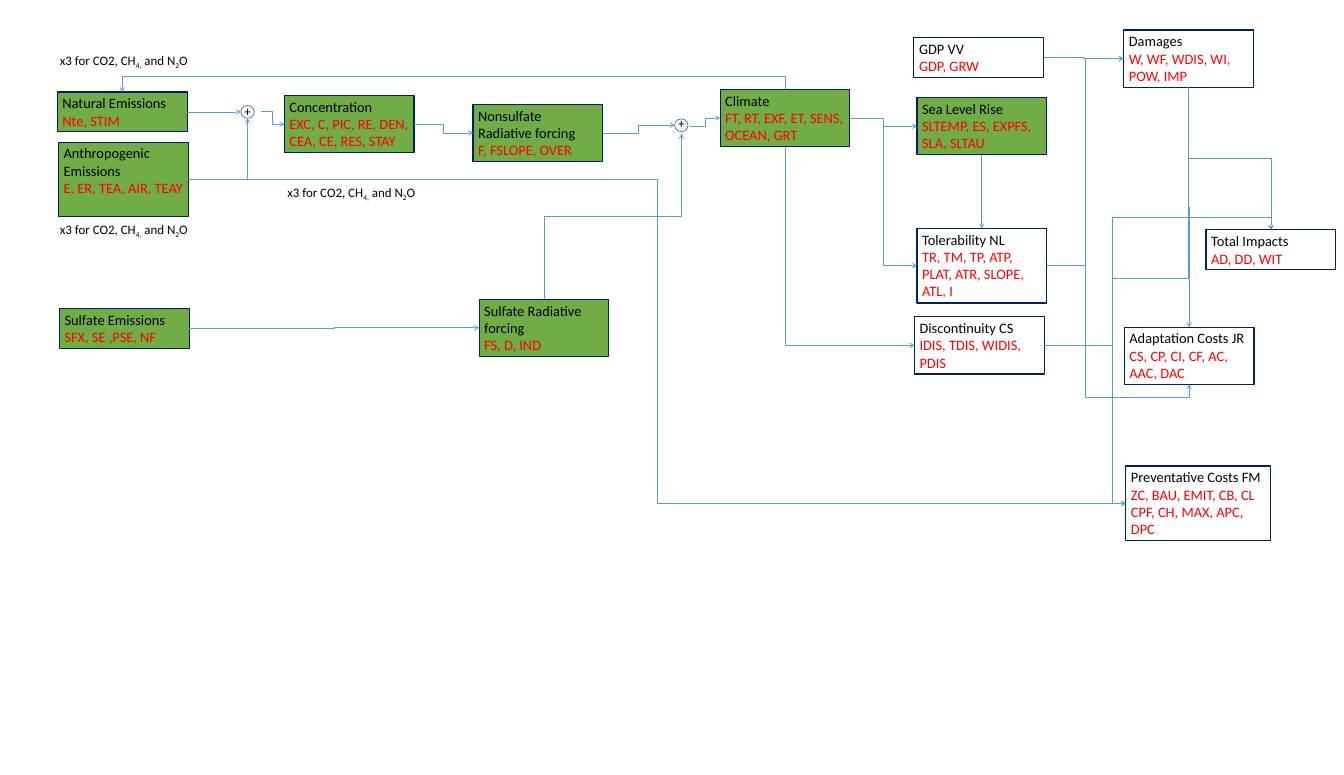
import pptx
import pptx.dml.color
import pptx.enum.shapes
import pptx.enum.text
import pptx.oxml
import pptx.oxml.ns
import pptx.util

Pt = pptx.util.Pt
qn = pptx.oxml.ns.qn
SHAPES = pptx.enum.shapes.MSO_SHAPE

COLORS = {"done": "70AD47", "border": "002060", "name": "000000",
          "variables": "FF0000", "link": "5B9BD5", "sum": "43739E"}
TOP, LEFT, BOTTOM, RIGHT = range(4)
MODULE_WIDTH = 180.7
CIRCLE_WIDTH, CIRCLE_HEIGHT = 18.7, 18

# key: (left, top, lines, finished, name, variables)
MODULES = {
    "natural": (79.9, 128.2, 2, True, "Natural Emissions", "Nte, STIM"),
    "anthropogenic": (81.4, 198, 4, True, "Anthropogenic Emissions", "E, ER, TEA, AIR, TEAY"),
    "concentration": (396, 133.2, 3, True, "Concentration",
                      "EXC, C, PIC, RE, DEN, CEA, CE, RES, STAY"),
    "sulfate": (82.8, 429.8, 2, True, "Sulfate Emissions", "SFX, SE ,PSE, NF"),
    "climate": (1003, 124.6, 3, True, "Climate", "FT, RT, EXF, ET, SENS, OCEAN, GRT"),
    "tolerability": (1277.3, 318.2, 4, False, "Tolerability NL",
                     "TR, TM, TP, ATP, PLAT, ATR, SLOPE, ATL, I"),
    "discontinuity": (1273.7, 441.4, 3, False, "Discontinuity CS", "IDIS, TDIS, WIDIS, PDIS"),
    "adaptation": (1566, 455.8, 3, False, "Adaptation Costs JR", "CS, CP, CI, CF, AC, AAC, DAC"),
    "sea level": (1277.3, 136.1, 3, True, "Sea Level Rise", "SLTEMP, ES, EXPFS, SLA, SLTAU"),
    "gdp": (1273, 52.6, 2, False, "GDP VV", "GDP, GRW"),
    "impacts": (1679.8, 320.4, 2, False, "Total Impacts", "AD, DD, WIT"),
    "damages": (1565.3, 41.8, 3, False, "Damages", "W, WF, WDIS, WI, POW, IMP"),
    "preventative": (1568.2, 649.4, 4, False, "Preventative Costs FM",
                     "ZC, BAU, EMIT, CB, CL CPF, CH, MAX, APC, DPC"),
    "sulfate forcing": (667.4, 416.9, 3, True, "Sulfate Radiative forcing", "FS, D, IND"),
    "nonsulfate forcing": (658.8, 145.4, 3, True, "Nonsulfate Radiative forcing",
                           "F, FSLOPE, OVER"),
}
WIDE_MODULES = {"preventative": 201.6}

GAS_NOTES = [(76.3, 69.1), (76.3, 304.6), (393.1, 253.4)]
GAS_TEXT = [("x3 for CO2, CH", 0), ("4,", -25), (" and N", 0), ("2", -25), ("O", 0)]

# key: (circle left, circle top, plus box, line spacing)
SUMS = {
    "emission sum": (335.5, 146.9, (333.4, 140.4, 29.5, 28.8), None),
    "forcing sum": (939.6, 165.6, (937.4, 166.3, 23.8, 20.2), 0.5),
}
EMISSION_SUM_LEFT = (335.5, 155.9)
EMISSION_SUM_BOTTOM = (344.85, 164.9)
FORCING_SUM_LEFT = (939.6, 174.6)

# (start, end, rotation, bends); no bends means a single corner
LINKS = [
    (("nonsulfate forcing", RIGHT), FORCING_SUM_LEFT, 0, [0.5]),
    (("emission sum", RIGHT), ("concentration", LEFT), 0, [0.5]),
    (("anthropogenic", RIGHT), EMISSION_SUM_BOTTOM, 0, []),
    (("natural", RIGHT), EMISSION_SUM_LEFT, 0, [0.5]),
    (("sulfate", RIGHT), ("sulfate forcing", LEFT), 0, [0.5]),
    (("sulfate forcing", TOP), ("forcing sum", BOTTOM), 90, [0.5]),
    (("forcing sum", RIGHT), ("climate", LEFT), 0, [0.5]),
    (("climate", BOTTOM), ("discontinuity", LEFT), 270, []),
    (("climate", RIGHT), ("tolerability", LEFT), 0, [0.5]),
    (("climate", RIGHT), ("sea level", LEFT), 0, [0.5]),
    (("sea level", BOTTOM), ("tolerability", TOP), 270, [0.5]),
    (("gdp", RIGHT), ("damages", LEFT), 0, [0.5]),
    (("tolerability", RIGHT), ("damages", LEFT), 0, [0.5]),
    (("damages", BOTTOM), ("adaptation", TOP), 270, [0.5]),
    (("tolerability", RIGHT), ("adaptation", BOTTOM), 0, [0.27, 1.11]),
    (("damages", BOTTOM), ("impacts", TOP), 270, [0.5]),
    (("damages", BOTTOM), ("preventative", LEFT), 90, [0.46, 1.21]),
    (("discontinuity", RIGHT), ("impacts", TOP), 0, [0.3, 1.11]),
    (("anthropogenic", RIGHT), ("preventative", LEFT), 0, [0.5]),
    (("climate", TOP), ("natural", TOP), 270, [-5.13]),
    (("concentration", RIGHT), ("nonsulfate forcing", LEFT), 0, [0.5]),
]


def rgb(key):
    return pptx.dml.color.RGBColor.from_string(COLORS[key])


def add_run(paragraph, text, *, size=18, color="name", baseline=0):
    run = paragraph.add_run()
    run.text = text
    run.font.name = "Calibri"
    run.font.size = Pt(size)
    run.font.color.rgb = rgb(color)
    if baseline:
        run.font._element.set("baseline", str(baseline * 1000))


class Diagram:
    def __init__(self, slide):
        self.shapes = slide.shapes
        self.anchors = {}

    def prepare_text(self, shape):
        frame = shape.text_frame
        frame.word_wrap = True
        frame.auto_size = pptx.enum.text.MSO_AUTO_SIZE.SHAPE_TO_FIT_TEXT
        frame.vertical_anchor = pptx.enum.text.MSO_ANCHOR.TOP
        return frame

    def outline(self, preset, box, *, line, weight, fill=None):
        shape = self.shapes.add_shape(preset, *map(Pt, box))
        shape.shadow.inherit = False
        if fill:
            shape.fill.solid()
            shape.fill.fore_color.rgb = rgb(fill)
        else:
            shape.fill.background()
        shape.line.color.rgb = rgb(line)
        shape.line.width = Pt(weight)
        return shape

    def module(self, key, left, top, lines, finished, name, variables):
        box = (left, top, WIDE_MODULES.get(key, MODULE_WIDTH), 7.2 + 24.23 * lines)
        module = self.outline(SHAPES.RECTANGLE, box, line="border", weight=1.5,
                              fill="done" if finished else None)
        frame = self.prepare_text(module)
        for paragraph, text, color in ((frame.paragraphs[0], name, "name"),
                                       (frame.add_paragraph(), variables, "variables")):
            paragraph.alignment = pptx.enum.text.PP_ALIGN.LEFT
            add_run(paragraph, text, size=20, color=color)
        self.anchors[key] = module

    def label(self, box, runs, spacing=None):
        label = self.shapes.add_textbox(*map(Pt, box))
        paragraph = self.prepare_text(label).paragraphs[0]
        if spacing:
            paragraph.line_spacing = spacing
        for text, baseline in runs:
            add_run(paragraph, text, baseline=baseline)
        return label

    def sum_node(self, key, left, top, plus_box, spacing):
        self.outline(SHAPES.OVAL, (left, top, CIRCLE_WIDTH, CIRCLE_HEIGHT),
                     line="sum", weight=1)
        self.anchors[key] = self.label(plus_box, [("+", 0)], spacing)

    def link(self, start, end, rotation, bends):
        link = self.shapes.add_connector(pptx.enum.shapes.MSO_CONNECTOR.ELBOW, 0, 0, 0, 0)
        if start[0] in self.anchors:
            link.begin_connect(self.anchors[start[0]], start[1])
        if end[0] in self.anchors:
            link.end_connect(self.anchors[end[0]], end[1])
        else:
            link.end_x, link.end_y = map(Pt, end)
        link.line.color.rgb = rgb("link")
        link.line.width = Pt(1)
        properties = link._element.spPr
        if rotation:
            self.rotate(link, rotation)
        geometry = properties.find(qn("a:prstGeom"))
        geometry.set("prst", f"bentConnector{len(bends) + 2}")
        adjustments = geometry.find(qn("a:avLst"))
        for number, bend in enumerate(bends, 1):
            guide = pptx.oxml.parse_xml(f'<a:gd {pptx.oxml.ns.nsdecls("a")}/>')
            guide.set("name", f"adj{number}")
            guide.set("fmla", f"val {round(bend * 100000)}")
            adjustments.append(guide)
        arrow = pptx.oxml.parse_xml(f'<a:tailEnd {pptx.oxml.ns.nsdecls("a")} type="arrow"/>')
        properties.find(qn("a:ln")).append(arrow)
        properties.append(pptx.oxml.parse_xml(f'<a:effectLst {pptx.oxml.ns.nsdecls("a")}/>'))

    def rotate(self, link, rotation):
        """Turn the elbow about its centre so that it leaves vertically."""
        across, down = link.end_x - link.begin_x, link.end_y - link.begin_y
        width, height = abs(down), abs(across)
        left = (link.begin_x + link.end_x - width) // 2
        top = (link.begin_y + link.end_y - height) // 2
        link.left, link.top, link.width, link.height = left, top, width, height
        flips = (down < 0, across > 0) if rotation == 90 else (down > 0, across < 0)
        frame = link._element.spPr.find(qn("a:xfrm"))
        frame.set("rot", str(rotation * 60000))
        for name, flipped in zip(("flipH", "flipV"), flips):
            frame.set(name, str(int(flipped)))


def main():
    deck = pptx.Presentation()
    deck.slide_width, deck.slide_height = Pt(1872), Pt(1080)
    diagram = Diagram(deck.slides.add_slide(deck.slide_layouts[6]))
    for key, module in MODULES.items():
        diagram.module(key, *module)
    for left, top in GAS_NOTES:
        diagram.label((left, top, 309.6, 28.8), GAS_TEXT)
    for key, node in SUMS.items():
        diagram.sum_node(key, *node)
    for link in LINKS:
        diagram.link(*link)
    deck.save("out.pptx")


if __name__ == "__main__":
    main()
